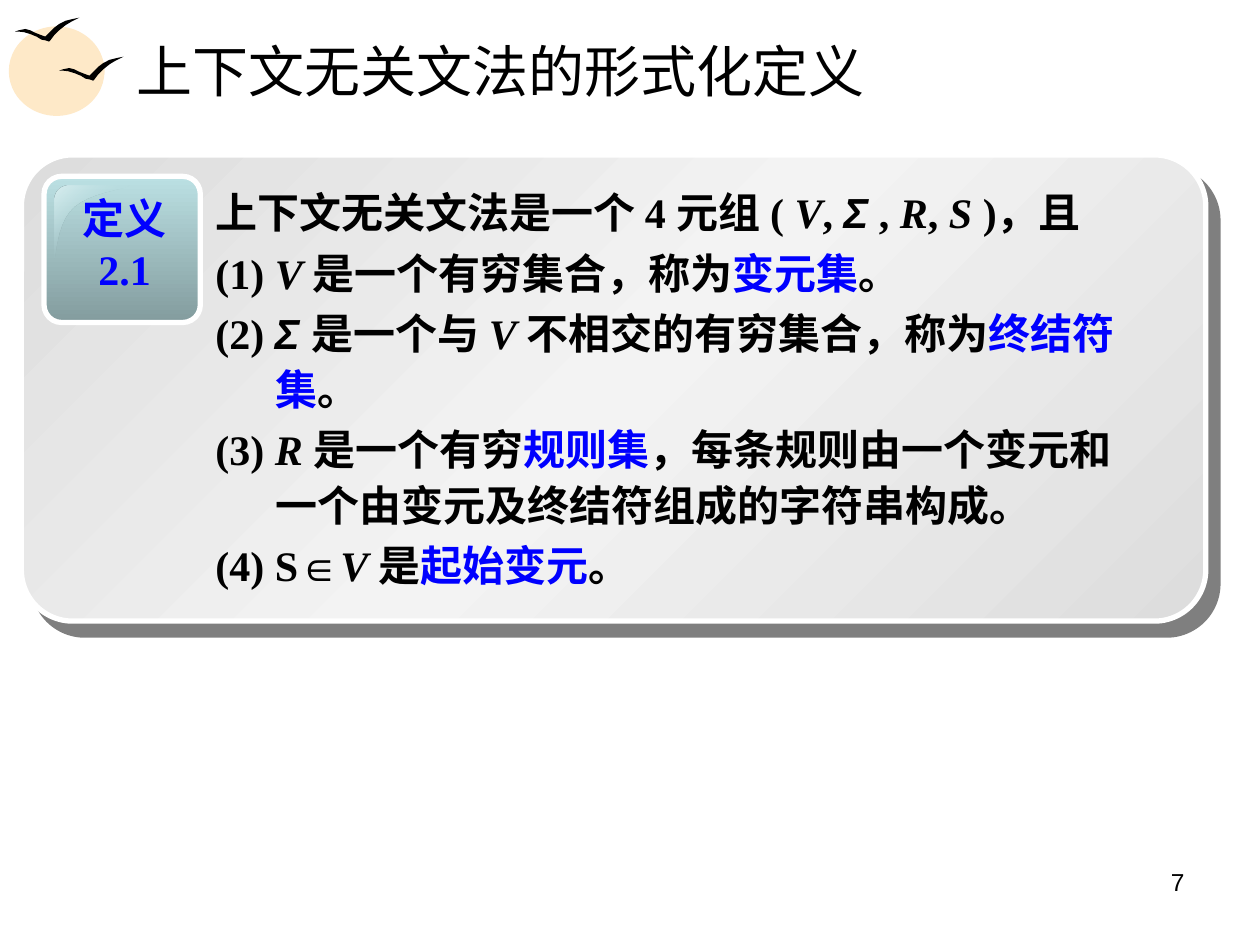
from typing import NamedTuple

from lxml import etree
from pptx import Presentation
from pptx.dml.color import RGBColor
from pptx.enum.shapes import MSO_SHAPE
from pptx.enum.text import MSO_ANCHOR, MSO_AUTO_SIZE, PP_ALIGN
from pptx.oxml.ns import qn
from pptx.util import Inches, Pt

OVAL, ROUND = MSO_SHAPE.OVAL, MSO_SHAPE.ROUNDED_RECTANGLE
LEFT, CENTER, RIGHT = PP_ALIGN.LEFT, PP_ALIGN.CENTER, PP_ALIGN.RIGHT
TOP, MIDDLE = MSO_ANCHOR.TOP, MSO_ANCHOR.MIDDLE
FIXED = MSO_AUTO_SIZE.NONE
SERIF, SANS = "Times New Roman", "Arial"

COLORS = {
    "ink": "000000", "key": "0000FF", "white": "FFFFFF", "sun": "FEE9C8",
    "edge": "DDDDDD", "mid": "F3F3F3",
    "aqua": "BBE0E3", "deep": "839C9E", "pale": "DAEEF0",
}
COLS, ROWS = 100, 75  # square cells over the slide


class Box(NamedTuple):
    x: float
    y: float
    w: float
    h: float


class Stop(NamedTuple):
    pos: int
    color: str
    alpha: int = 100


class Card(NamedTuple):
    box: Box
    round: float
    stops: list[Stop]
    angle: int


class Run(NamedTuple):
    text: str
    font: str = SERIF
    slant: bool = False
    color: str = "ink"


def var(text: str, font: str = SERIF) -> Run:
    return Run(text, font, True)


def term(text: str) -> Run:
    return Run(text, color="key")


SUNS = [Box(0.7, 2.1, 7.6, 7.1), Box(2, 2.8, 6.3, 5.5)]
BIRDS = [(4.7, 4.5), (1.2, 1.4)]
WING = [
    (0, 1.1), (0.3, 1), (0.8, 0.9), (1.2, 1), (1.6, 1.2), (2.1, 1.4), (2.4, 1.5),
    (2.7, 1.2), (3.1, 0.8), (3.5, 0.5), (4, 0.25), (4.6, 0.1), (5.1, 0),
    (4.5, 0.3), (4, 0.6), (3.5, 1), (3.1, 1.4), (2.8, 1.8), (2.7, 1.9),
    (2.4, 1.8), (2.1, 1.75), (1.7, 1.5), (1.2, 1.3), (0.7, 1.15), (0.2, 1.1),
]
PANEL = Card(Box(1.7, 12.3, 94, 37), 0.11,
             [Stop(0, "edge"), Stop(50, "mid"), Stop(100, "edge")], 45)
BADGE = Card(Box(3.5, 14, 12.4, 11.6), 0.12,
             [Stop(0, "aqua"), Stop(100, "deep")], 90)
GLOSS = [Stop(0, "pale"), Stop(50, "aqua", 0), Stop(100, "pale")]
CURVES = [  # gloss outline, four control points each
    [(5.5, 14.7), (4.8, 14.7), (4.3, 15.2), (4.3, 15.9)],
    [(4.3, 20.5), (4.5, 20.5), (4.4, 17.7), (5.9, 16.4)],
    [(5.9, 16.4), (7.5, 15.1), (10.4, 15), (10.3, 14.7)],
]
RULES = [
    [Run("上下文无关文法是一个 4 元组 ( "), var("V"), Run(", "), var("Σ", SANS),
     Run(" , "), var("R"), Run(", "), var("S "), Run(")，且")],
    [Run("(1) "), var("V "), Run("是一个有穷集合，称为"), term("变元集"), Run("。")],
    [Run("(2) "), var("Σ ", SANS), Run("是一个与 "), var("V "),
     Run("不相交的有穷集合，称为"), term("终结符集"), Run("。")],
    [Run("(3) "), var("R "), Run("是一个有穷"), term("规则集"),
     Run("，每条规则由一个变元和一个由变元及终结符组成的字符串构成。")],
    [Run("(4) S"), Run("∈", SANS), var("V "), Run("是"), term("起始变元"), Run("。")],
]

deck = Presentation()
deck.slide_width, deck.slide_height = Inches(10), Inches(7.5)
CELL = deck.slide_width / COLS
slide = deck.slides.add_slide(deck.slide_layouts[1])
shapes = slide.shapes


def emu(box: Box) -> list[int]:
    return [round(v * CELL) for v in box]


def rgb(name: str) -> RGBColor:
    return RGBColor.from_string(COLORS[name])


def paint(shape, color: str) -> None:
    shape.shadow.inherit = False
    shape.fill.solid()
    shape.fill.fore_color.rgb = rgb(color)
    shape.line.fill.background()


def blend(shape, stops: list[Stop], angle: int) -> None:
    """Fill with a gradient that runs clockwise by the angle."""
    shape.fill.gradient()
    shape.fill.gradient_angle = -angle % 360
    group = shape._element.spPr.find(".//" + qn("a:gsLst"))
    for old in list(group):
        group.remove(old)
    for stop in stops:
        mark = etree.SubElement(group, qn("a:gs"), pos=str(stop.pos * 1000))
        tint = etree.SubElement(mark, qn("a:srgbClr"), val=COLORS[stop.color])
        if stop.alpha < 100:
            etree.SubElement(tint, qn("a:alpha"), val=str(stop.alpha * 1000))


def outline(points: list[tuple[float, float]]):
    first, *rest = [(round(x * CELL), round(y * CELL)) for x, y in points]
    pen = shapes.build_freeform(*first)
    pen.add_line_segments(rest)
    return pen.convert_to_shape()


def bend(ends: list[tuple[float, float]], steps: int = 10) -> list[tuple[float, float]]:
    """Sample a cubic curve."""
    found = []
    for step in range(steps + 1):
        t = step / steps
        parts = ((1 - t) ** 3, 3 * t * (1 - t) ** 2, 3 * t * t * (1 - t), t ** 3)
        found.append((sum(p * e[0] for p, e in zip(parts, ends)),
                      sum(p * e[1] for p, e in zip(parts, ends))))
    return found


def draw_card(card: Card):
    shape = shapes.add_shape(ROUND, *emu(card.box))
    shape.adjustments[0] = card.round
    blend(shape, card.stops, card.angle)
    shape.line.color.rgb = rgb("white")
    shape.line.width = Pt(3)
    shape.shadow.inherit = False
    return shape


def cast(shape) -> None:
    """Add a hard, half-clear shadow below right."""
    group = shape._element.spPr.find(qn("a:effectLst"))
    shade = etree.SubElement(group, qn("a:outerShdw"), dist=str(Pt(10.6)),
                             dir=str(49 * 60000), algn="ctr", rotWithShape="0")
    tint = etree.SubElement(shade, qn("a:srgbClr"), val=COLORS["ink"])
    etree.SubElement(tint, qn("a:alpha"), val="50000")


def style(para, size: int, color: str = "ink", bold: bool = False,
          font: str | None = SERIF, align=LEFT) -> None:
    para.alignment = align
    para.font.size, para.font.bold = Pt(size), bold
    para.font.color.rgb = rgb(color)
    if font:
        para.font.name = font


def place(shape, box: Box, anchor=TOP):
    shape.left, shape.top, shape.width, shape.height = emu(box)
    frame = shape.text_frame
    frame.word_wrap, frame.auto_size = True, FIXED
    frame.vertical_anchor = anchor
    return frame


def write(box: Box, lines: list[str], **look) -> None:
    frame = place(shapes.add_textbox(0, 0, 0, 0), box)
    frame.text = "\n".join(lines)
    for para in frame.paragraphs:
        style(para, **look)


def list_rules(frame) -> None:
    for row, runs in enumerate(RULES):
        para = frame.add_paragraph() if row else frame.paragraphs[0]
        para.line_spacing = 1.1
        para.space_before = Pt(3 if row else 0)
        props = para._p.get_or_add_pPr()
        props.set("marL", str(Inches(0.48)))
        props.set("indent", str(Inches(-0.48)))
        etree.SubElement(props, qn("a:buNone"))
        style(para, 24, bold=True, font=None)
        for item in runs:
            run = para.add_run()
            run.text = item.text
            run.font.name, run.font.italic = item.font, item.slant
            run.font.color.rgb = rgb(item.color)


for sun in SUNS:
    paint(shapes.add_shape(OVAL, *emu(sun)), "sun")
for left, top in BIRDS:
    paint(outline([(left + x, top + y) for x, y in WING]), "ink")

head = place(shapes.title, Box(9.8, 2.1, 85.3, 6.9), MIDDLE)
head.text = "上下文无关文法的形式化定义"
style(head.paragraphs[0], 32)

cast(draw_card(PANEL))
draw_card(BADGE)
shine = outline([point for curve in CURVES for point in bend(curve)])
paint(shine, "pale")
blend(shine, GLOSS, 45)
write(Box(5.2, 14.8, 9.4, 9), ["定义", "2.1"],
      size=24, color="key", bold=True, align=CENTER)

body = slide.placeholders[1]
shapes._spTree.append(body._element)  # bring above the panel
list_rules(place(body, Box(16.1, 13.9, 75.6, 33.5)))
write(Box(71.7, 68.3, 23.3, 5.2), ["7"], size=14, font=SANS, align=RIGHT)

deck.save("out.pptx")
